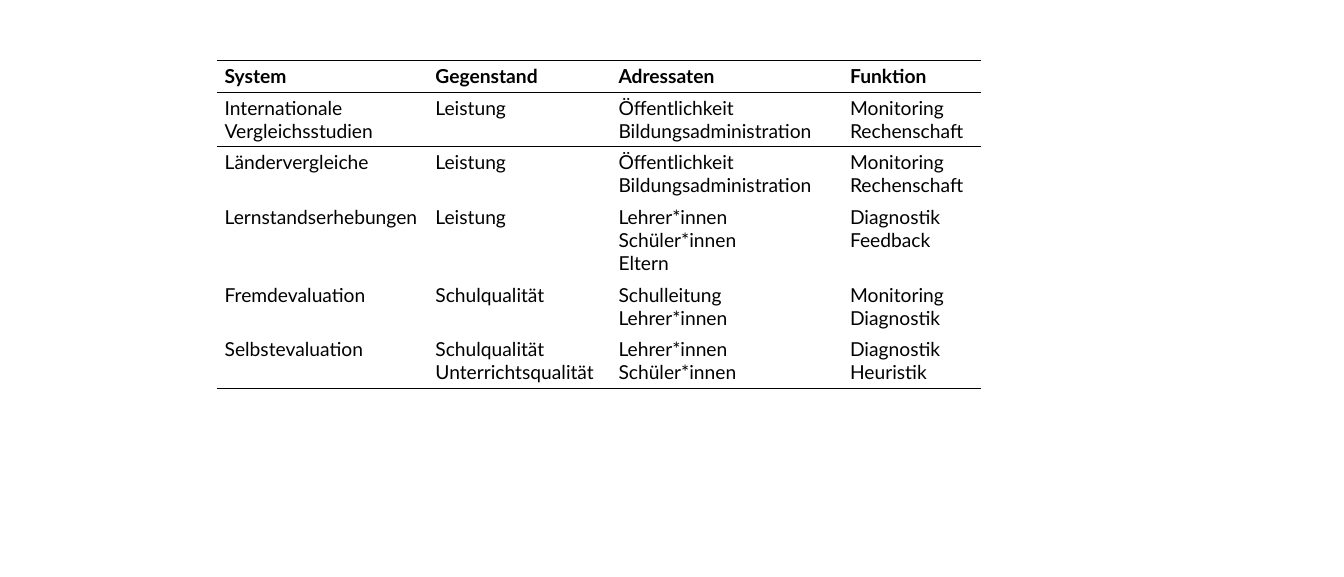
from lxml import etree
from pptx import Presentation
from pptx import util as u
from pptx.dml.color import RGBColor
from pptx.oxml import ns

PX = 9144  # 100 px to the inch
BLACK = RGBColor(0x00, 0x00, 0x00)
NO_STYLE_NO_GRID = "{2D5ABB26-0587-4C30-8999-92F81FD0307C}"

COLUMN_WIDTHS = [274, 238, 301, 180, 118]  # the last column stays empty
LINE_HEIGHT = 30
ROW_PADDING = 11
ROWS = [
    ["System", "Gegenstand", "Adressaten", "Funktion"],
    ["Internationale\nVergleichsstudien", "Leistung",
     "Öffentlichkeit\nBildungsadministration", "Monitoring\nRechenschaft"],
    ["Ländervergleiche", "Leistung",
     "Öffentlichkeit\nBildungsadministration", "Monitoring\nRechenschaft"],
    ["Lernstandserhebungen", "Leistung",
     "Lehrer*innen\nSchüler*innen\nEltern", "Diagnostik\nFeedback"],
    ["Fremdevaluation", "Schulqualität",
     "Schulleitung\nLehrer*innen", "Monitoring\nDiagnostik"],
    ["Selbstevaluation", "Schulqualität\nUnterrichtsqualität",
     "Lehrer*innen\nSchüler*innen", "Diagnostik\nHeuristik"],
]


def add_border(cell, side):
    """Draw a 1 pt rule on one side of a cell: lnT or lnB."""
    line = etree.SubElement(cell._tc.get_or_add_tcPr(), ns.qn(f"a:{side}"),
                            w=str(u.Pt(1)))
    fill = etree.SubElement(line, ns.qn("a:solidFill"))
    etree.SubElement(fill, ns.qn("a:srgbClr"), val=str(BLACK))


# Slide
deck = Presentation()
deck.slide_width = 1747 * PX
deck.slide_height = 750 * PX
page = deck.slides.add_slide(deck.slide_layouts[6])

# Table frame without the banded style
row_heights = [ROW_PADDING + LINE_HEIGHT * max(len(entry.split("\n")) for entry in row)
               for row in ROWS]
table = page.shapes.add_table(
    len(ROWS), len(COLUMN_WIDTHS), 282 * PX, 79 * PX,
    sum(COLUMN_WIDTHS) * PX, sum(row_heights) * PX).table
table.first_row = False
table.horz_banding = False
table._tbl.tblPr.find(ns.qn("a:tableStyleId")).text = NO_STYLE_NO_GRID

for column, width in zip(table.columns, COLUMN_WIDTHS):
    column.width = width * PX
for row, height in zip(table.rows, row_heights):
    row.height = height * PX

# Entries, with rules around the header and below the last row
for r, entries in enumerate(ROWS):
    for c, entry in enumerate(entries):
        cell = table.cell(r, c)
        cell.text = entry
        for para in cell.text_frame.paragraphs:
            para.font.name = "Lato"
            para.font.size = u.Pt(18)
            para.font.bold = r == 0
            para.font.color.rgb = BLACK
        if r in (0, 1):
            add_border(cell, "lnT")
        if r in (0, len(ROWS) - 1):
            add_border(cell, "lnB")

for cell in table.iter_cells():
    cell.fill.background()

deck.save("out.pptx")
